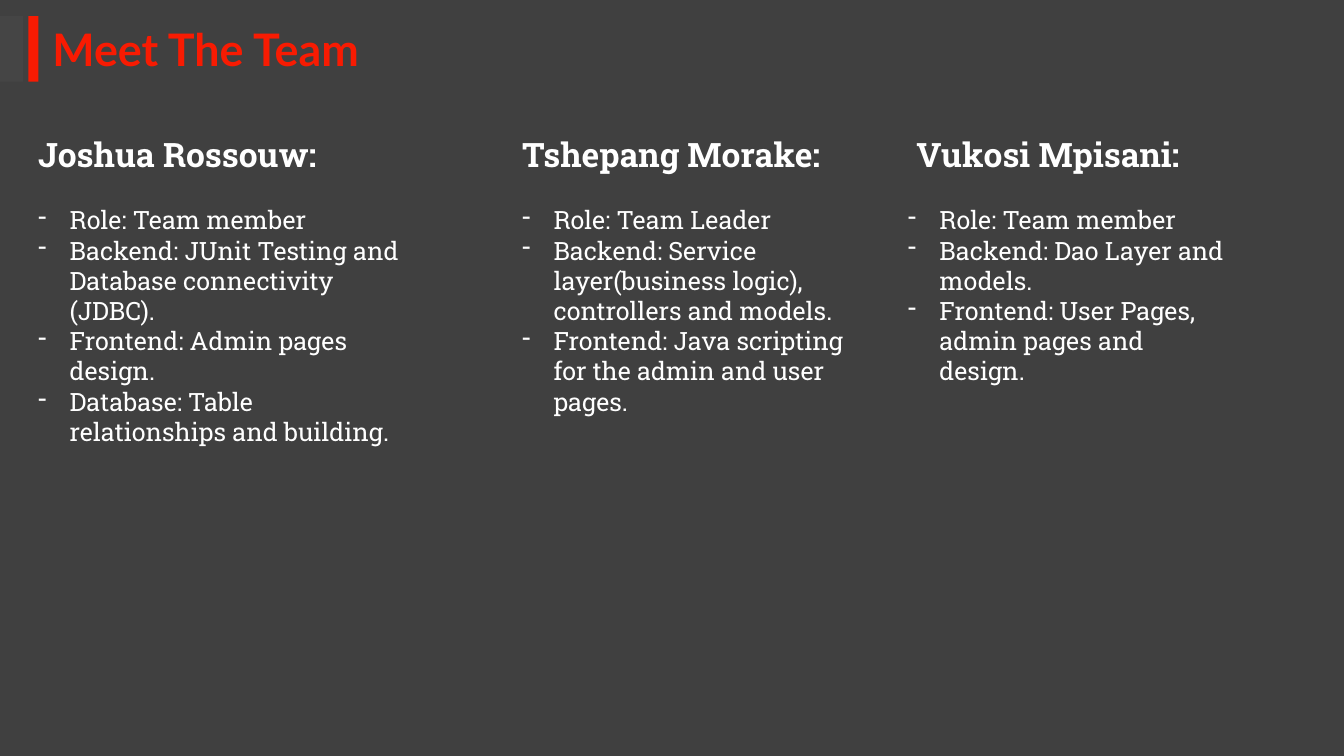
from lxml import etree
from pptx import Presentation
from pptx import util as u
from pptx.dml.color import RGBColor
from pptx.enum import shapes, text
from pptx.oxml import ns

Pt = u.Pt
COLORS = {"shade": "000000", "accent": "F81B02", "tab": "454545", "body": "FFFFFF"}
BODY_FONT = "Roboto Slab"
COLUMN_TOP = 92.2
NAME_GAP = 21.6
BULLET_INDENT = 22.5

TEAM = [
    ("Tshepang Morake:", (365.8, 253.4, 211), 0, [
        "Role: Team Leader",
        "Backend: Service layer(business logic), controllers and models.",
        "Frontend: Java scripting for the admin and user pages.",
    ]),
    ("Joshua Rossouw:", (20.2, 275.8, 211), 0, [
        "Role: Team member",
        "Backend: JUnit Testing and Database connectivity (JDBC).",
        "Frontend: Admin pages design.",
        "Database: Table relationships and building.",
    ]),
    ("Vukosi Mpisani:", (641.5, 240.5, 189.4), 6, [
        "Role: Team member",
        "Backend: Dao Layer and models.",
        "Frontend: User Pages, admin pages and design.",
    ]),
]


def add_block(slide, left, top, width, height, color, opacity=100):
    block = slide.shapes.add_shape(
        shapes.MSO_SHAPE.RECTANGLE, Pt(left), Pt(top), Pt(width), Pt(height))
    block.shadow.inherit = False
    block.fill.solid()
    block.fill.fore_color.rgb = RGBColor.from_string(COLORS[color])
    block.line.fill.background()
    if opacity < 100:
        srgb = block.element.spPr.find(".//" + ns.qn("a:srgbClr"))
        etree.SubElement(srgb, ns.qn("a:alpha"), val=str(opacity * 1000))
    return block


def style(paragraph, font, size, color, bold=False):
    for run in paragraph.runs:
        run.font.name = font
        run.font.size = Pt(size)
        run.font.bold = bold
        run.font.color.rgb = RGBColor.from_string(COLORS[color])


def set_title(slide, wording):
    title = slide.shapes.title
    title.left, title.top, title.width, title.height = Pt(30.2), Pt(19.4), Pt(480), Pt(38.9)
    frame = title.text_frame
    frame.text = wording
    frame.word_wrap = True
    frame.auto_size = text.MSO_AUTO_SIZE.NONE
    frame.vertical_anchor = text.MSO_ANCHOR.TOP
    heading = frame.paragraphs[0]
    heading.alignment = text.PP_ALIGN.LEFT
    heading.line_spacing = 0.8
    style(heading, "Lato", 32, "accent", bold=True)


def set_indent(paragraph, margin, hanging=0):
    properties = paragraph._p.get_or_add_pPr()
    properties.set("marL", str(Pt(margin)))
    properties.set("indent", str(-Pt(hanging)))
    return properties


def add_member(slide, name, place, name_indent, duties):
    left, width, height = place
    column = slide.shapes.add_textbox(Pt(left), Pt(COLUMN_TOP), Pt(width), Pt(height))
    frame = column.text_frame
    frame.word_wrap = True
    frame.text = name
    heading = frame.paragraphs[0]
    set_indent(heading, name_indent)
    heading.space_after = Pt(NAME_GAP)
    style(heading, BODY_FONT, 24, "body", bold=True)
    for duty in duties:
        item = frame.add_paragraph()
        item.text = duty
        properties = set_indent(item, BULLET_INDENT, BULLET_INDENT)
        etree.SubElement(properties, ns.qn("a:buChar"), char="-")
        style(item, BODY_FONT, 18, "body")


def main():
    deck = Presentation()
    deck.slide_width, deck.slide_height = Pt(960), Pt(540)
    slide = deck.slides.add_slide(deck.slide_layouts[5])
    shade = add_block(slide, 0, 0, 960, 540, "shade", opacity=75)
    slide.shapes.title.element.addprevious(shade.element)
    set_title(slide, "Meet The Team")
    add_block(slide, 0, 11.5, 16.6, 46.8, "tab")
    add_block(slide, 20.2, 11.5, 7.2, 46.8, "accent")
    for member in TEAM:
        add_member(slide, *member)
    deck.save("out.pptx")


if __name__ == "__main__":
    main()
